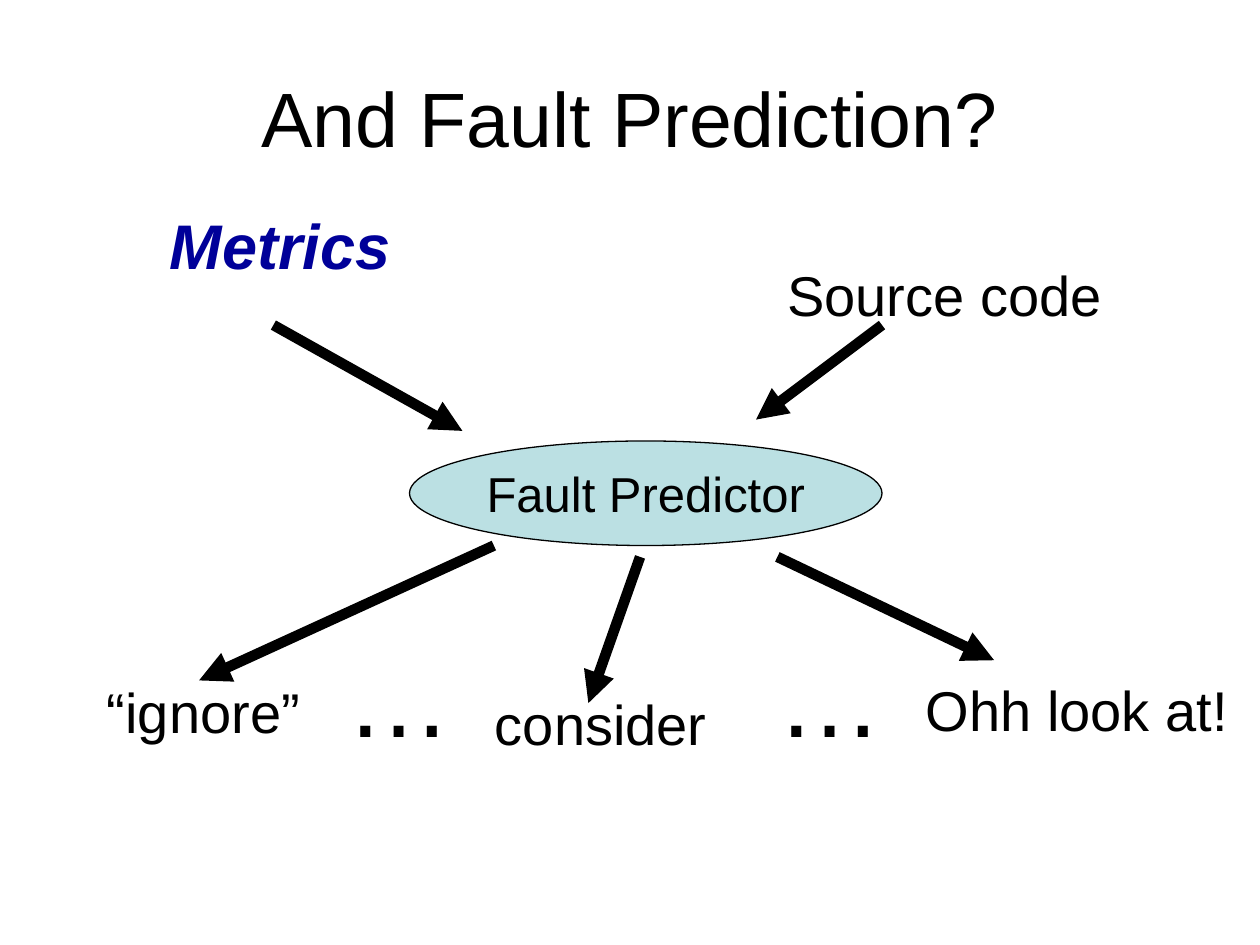
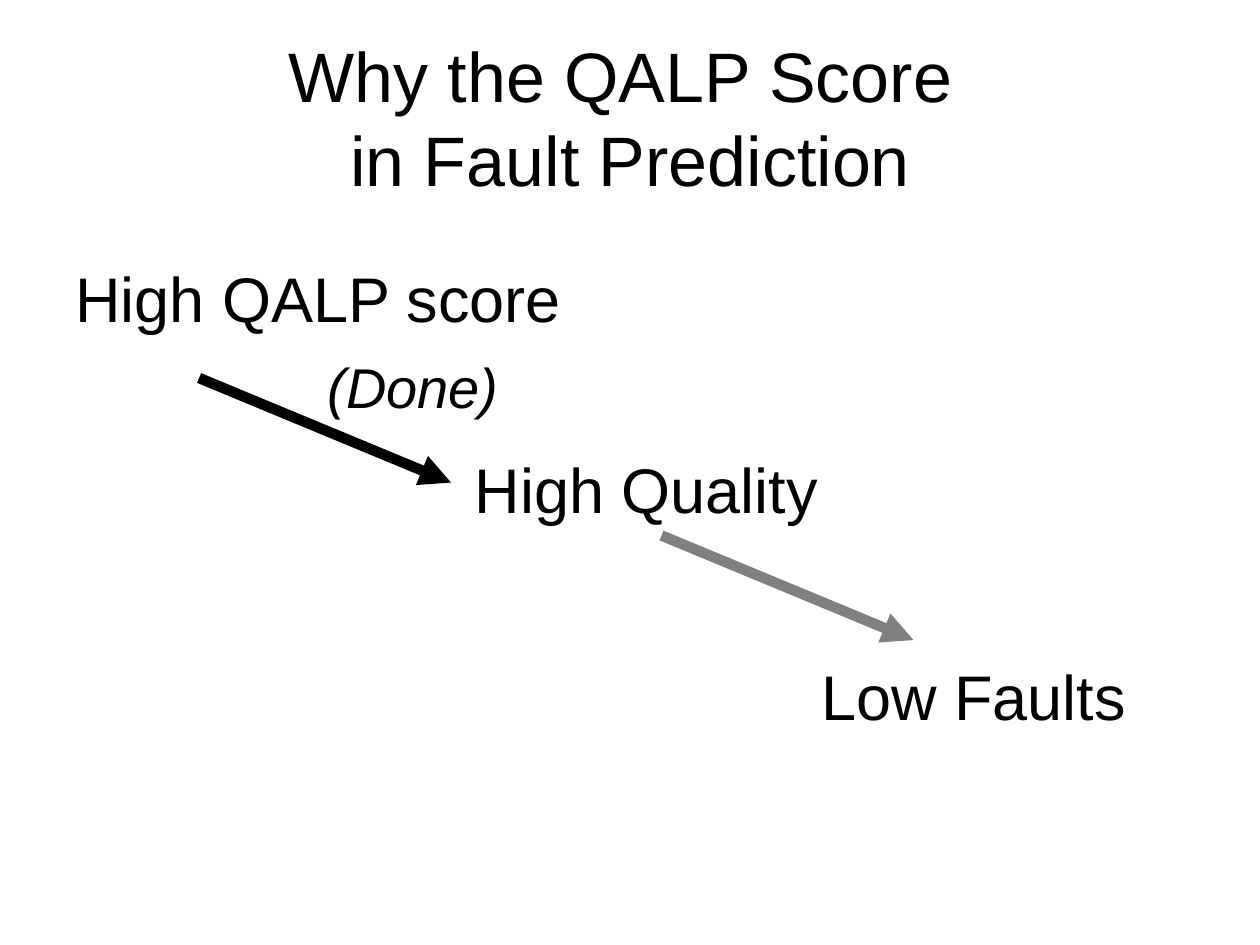
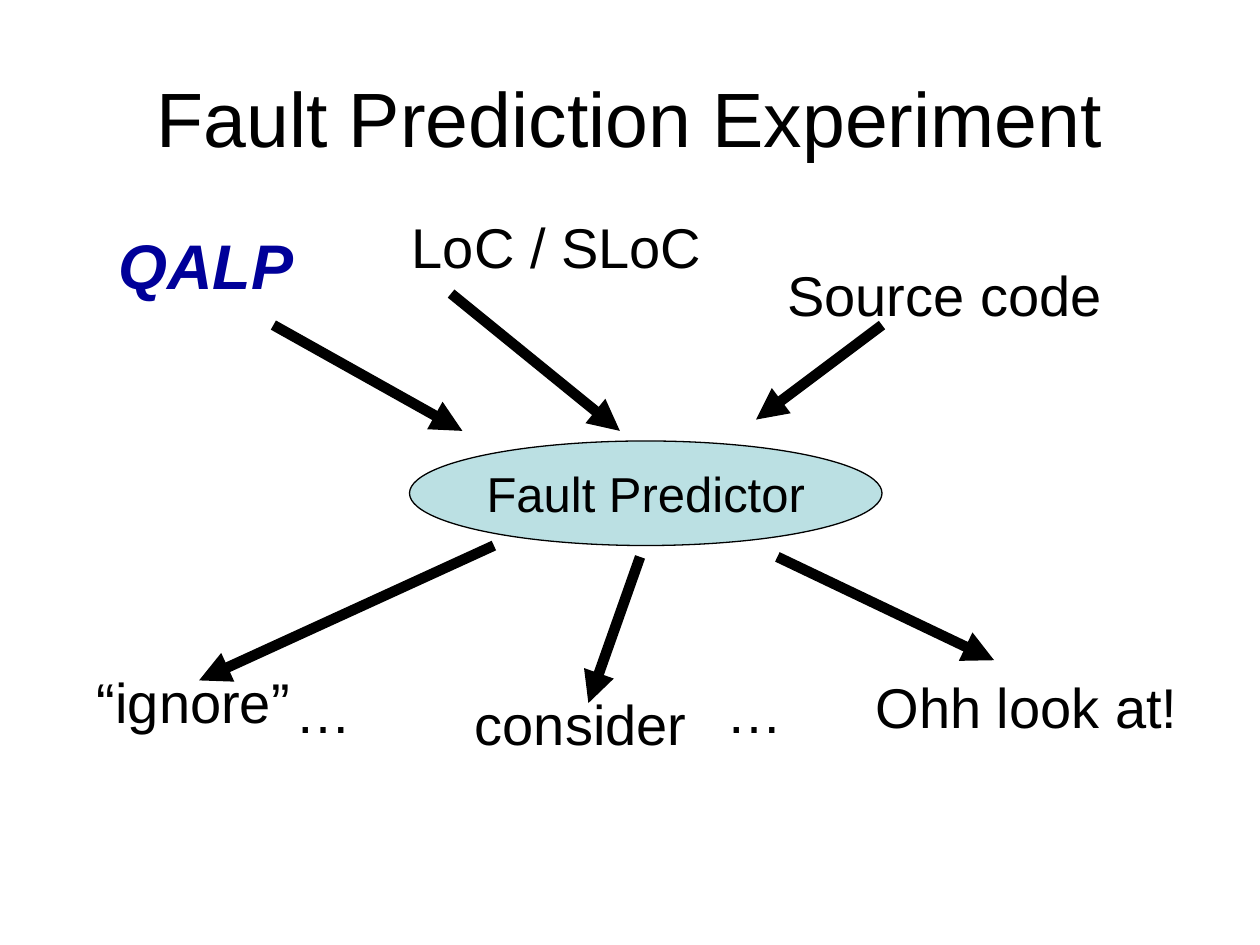
from dataclasses import dataclass

from lxml import etree
from pptx import Presentation
from pptx import util as u
from pptx.dml.color import RGBColor
from pptx.enum import shapes, text
from pptx.oxml.ns import qn

# Shared style: 100 px to the inch
PX = 9144
FONT = "Arial"
BLACK = RGBColor(0x00, 0x00, 0x00)
NAVY = RGBColor(0x00, 0x00, 0x99)
GRAY = RGBColor(0x80, 0x80, 0x80)
TEAL = RGBColor(0xBB, 0xE0, 0xE3)
TITLE_ONLY = 5


@dataclass(frozen=True)
class Label:
    text: str
    x: int
    y: int
    w: int
    h: int = 64
    size: int = 32
    color: RGBColor = BLACK
    bold: bool = False
    italic: bool = False
    wrap: bool = False
    spacing: float = 1.0


@dataclass(frozen=True)
class Arrow:
    x1: int
    y1: int
    x2: int
    y2: int
    color: RGBColor = BLACK


def px(*lengths: int) -> list[u.Emu]:
    return [u.Emu(n * PX) for n in lengths]


def set_font(p, size: int, color: RGBColor = BLACK) -> None:
    p.font.name = FONT
    p.font.size = u.Pt(size)
    p.font.color.rgb = color


def add_titled_slide(prs, title: str, size: int = 44):
    s = prs.slides.add_slide(prs.slide_layouts[TITLE_ONLY])
    sp = s.shapes.title
    sp.left, sp.top, sp.width, sp.height = px(50, 30, 900, 125)
    tf = sp.text_frame
    tf.text = title
    tf.auto_size = text.MSO_AUTO_SIZE.NONE
    tf.vertical_anchor = text.MSO_ANCHOR.MIDDLE
    p = tf.paragraphs[0]
    p.alignment = text.PP_ALIGN.CENTER
    set_font(p, size)
    return s


def add_label(s, label: Label) -> None:
    tf = s.shapes.add_textbox(*px(label.x, label.y, label.w, label.h)).text_frame
    tf.text = label.text
    tf.word_wrap = label.wrap
    tf.auto_size = text.MSO_AUTO_SIZE.SHAPE_TO_FIT_TEXT
    p = tf.paragraphs[0]
    if label.spacing != 1:
        p.line_spacing = label.spacing
    set_font(p, label.size, label.color)
    p.font.bold = label.bold
    p.font.italic = label.italic


def add_arrow(s, arrow: Arrow) -> None:
    cxn = s.shapes.add_connector(
        shapes.MSO_CONNECTOR.STRAIGHT, *px(arrow.x1, arrow.y1, arrow.x2, arrow.y2))
    cxn.line.color.rgb = arrow.color
    cxn.line.width = u.Pt(6)
    sp_pr = cxn.element.spPr
    etree.SubElement(sp_pr.find(qn("a:ln")), qn("a:tailEnd"), type="triangle")
    etree.SubElement(sp_pr, qn("a:effectLst"))


def add_predictor(s) -> None:
    sp = s.shapes.add_shape(shapes.MSO_SHAPE.OVAL, *px(325, 350, 375, 83))
    sp.shadow.inherit = False
    sp.fill.solid()
    sp.fill.fore_color.rgb = TEAL
    sp.line.color.rgb = BLACK
    sp.line.width = u.Pt(0.75)
    tf = sp.text_frame
    tf.text = "Fault Predictor"
    tf.word_wrap = False
    tf.vertical_anchor = text.MSO_ANCHOR.MIDDLE
    p = tf.paragraphs[0]
    p.alignment = text.PP_ALIGN.CENTER
    set_font(p, 28)


def add_parts(s, labels: list[Label], arrows: list[Arrow]) -> None:
    for label in labels:
        add_label(s, label)
    for arrow in arrows:
        add_arrow(s, arrow)


# Parts common to both predictor diagrams
SOURCE_CODE = Label("Source code", 615, 202, 270)
PREDICTOR_ARROWS = [
    Arrow(217, 258, 367, 342),
    Arrow(700, 258, 600, 333),
    Arrow(392, 433, 158, 540),
    Arrow(508, 442, 467, 558),
    Arrow(617, 442, 789, 524),
]


def add_predictor_slide(prs, title: str, labels: list[Label],
                        extra_arrows: list[Arrow]) -> None:
    s = add_titled_slide(prs, title)
    add_predictor(s)
    add_parts(s, [SOURCE_CODE, *labels], PREDICTOR_ARROWS + extra_arrows)


def main() -> None:
    prs = Presentation()
    prs.slide_width, prs.slide_height = px(1000, 750)

    # Predictor fed by metrics
    add_predictor_slide(prs, "And Fault Prediction?", [
        Label("Metrics", 125, 159, 195, 70, 36, NAVY, bold=True, italic=True),
        Label("“ignore”", 75, 533, 173),
        Label("consider", 383, 542, 188),
        Label("Ohh look at!", 725, 531, 260),
        *(Label("…", x, 497, 103, 110, 60) for x in (265, 607)),
    ], [])

    # Chain from score to faults
    s = add_titled_slide(prs, "Why the QALP Score \vin Fault Prediction", 40)
    add_parts(s, [
        Label("High QALP score", 50, 208, 458, 67, 36, wrap=True, spacing=0.9),
        Label("High Quality", 367, 353, 292, 70, 36),
        Label("Low Faults", 642, 517, 262, 70, 36),
        Label("(Done)", 250, 275, 317, italic=True, wrap=True),
    ], [
        Arrow(158, 300, 358, 383),
        Arrow(525, 425, 725, 508, GRAY),
    ])

    # Predictor fed by QALP and size
    add_predictor_slide(prs, "Fault Prediction Experiment", [
        Label("QALP", 84, 175, 159, 70, 36, NAVY, bold=True, italic=True),
        Label("LoC / SLoC", 317, 164, 250),
        Label("“ignore”", 67, 525, 173),
        Label("consider", 367, 542, 188),
        Label("Ohh look at!", 685, 529, 260),
        *(Label("…", x, 533, 64) for x in (225, 567)),
    ], [Arrow(358, 233, 492, 342)])

    prs.save("out.pptx")


if __name__ == "__main__":
    main()
